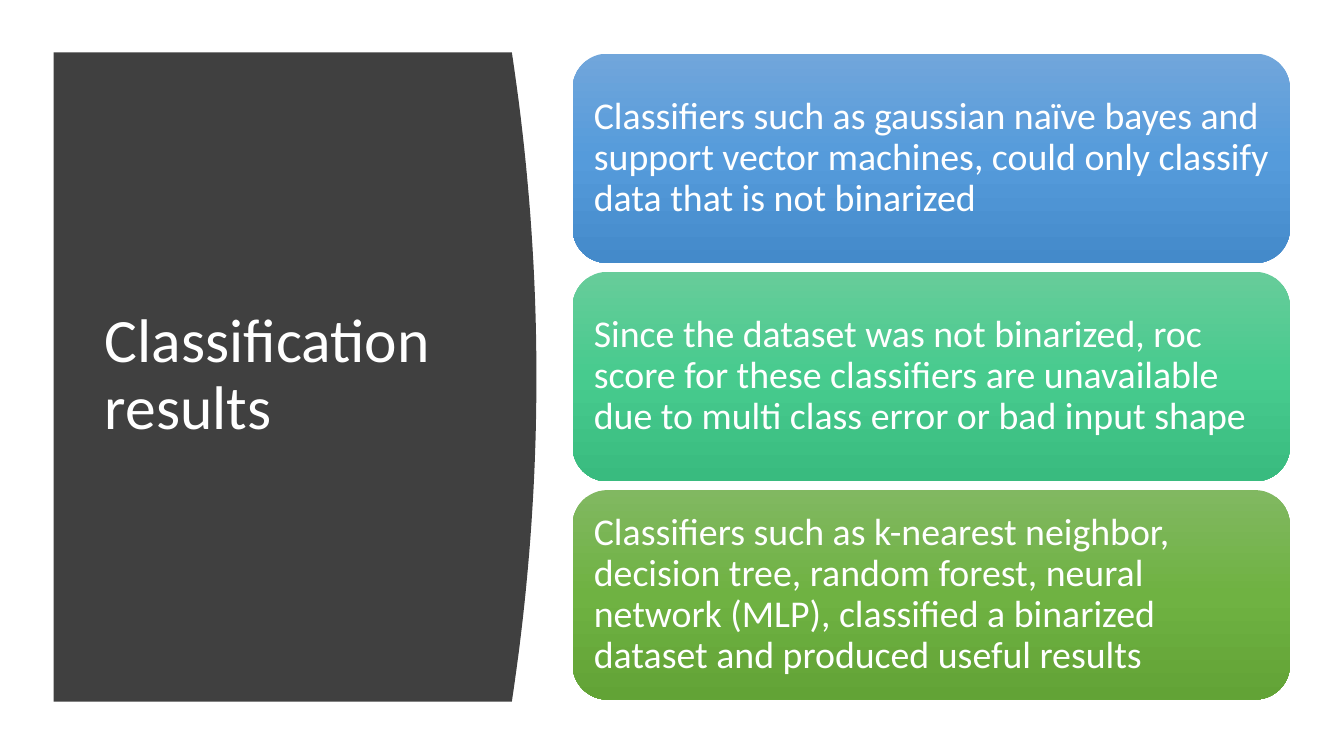
import copy
from dataclasses import dataclass

import pptx
import pptx.dml.color
import pptx.enum.shapes
import pptx.enum.text
import pptx.oxml.ns
import pptx.util

Cm = pptx.util.Cm
RGB = pptx.dml.color.RGBColor.from_string


@dataclass
class Theme:
    font: str = "Calibri"
    text: str = "FFFFFF"
    panel: str = "404040"
    blue: tuple = ("71A6DB", "559BDB", "448ACA")
    teal: tuple = ("67CC9A", "47CB8E", "39BB7F")
    green: tuple = ("81B861", "6FB242", "62A336")
    title_size: int = 44
    body_size: int = 27


theme = Theme()


def write(shape, text, *, size, inset):
    tf = shape.text_frame
    tf.word_wrap = True
    tf.auto_size = pptx.enum.text.MSO_AUTO_SIZE.NONE
    tf.vertical_anchor = pptx.enum.text.MSO_ANCHOR.MIDDLE
    tf.margin_left = tf.margin_right = Cm(inset)
    tf.margin_top = tf.margin_bottom = Cm(inset / 2)
    p = tf.paragraphs[0]
    p.alignment = pptx.enum.text.PP_ALIGN.LEFT
    p.line_spacing = 0.9
    r = p.add_run()
    r.text = text
    r.font.name = theme.font
    r.font.size = pptx.util.Pt(size)
    r.font.color.rgb = RGB(theme.text)


prs = pptx.Presentation()
prs.slide_width, prs.slide_height = Cm(33.87), Cm(19.05)
s = prs.slides.add_slide(prs.slide_layouts[5])

# Dark panel with a bulging right edge
left, top, edge, bottom, bulge, steps = 1.35, 1.32, 12.9, 17.68, 0.62, 40
curve = []
for i in range(steps + 1):
    u = 2 * i / steps - 1
    curve.append((edge + bulge * (1 - u * u), top + (bottom - top) * i / steps))
fb = s.shapes.build_freeform(Cm(left), Cm(top))
fb.add_line_segments([(Cm(x), Cm(y)) for x, y in curve + [(left, bottom)]])
panel = fb.convert_to_shape()
panel.shadow.inherit = False
panel.fill.solid()
panel.fill.fore_color.rgb = RGB(theme.panel)
panel.line.fill.background()

# Title, in front of the panel
title = s.shapes.title
title.left, title.top, title.width, title.height = Cm(2.39), Cm(2.82), Cm(9.5), Cm(13.31)
title.element.addprevious(panel.element)
write(title, "Classification results", size=theme.title_size, inset=0.25)

# Stack of findings
findings = [
    (theme.blue, "Classifiers such as gaussian naïve bayes and support vector machines, "
                 "could only classify data that is not binarized"),
    (theme.teal, "Since the dataset was not binarized, roc score for these classifiers are "
                 "unavailable due to multi class error or bad input shape"),
    (theme.green, "Classifiers such as k-nearest neighbor, decision tree, random forest, neural "
                  "network (MLP), classified a binarized dataset and produced useful results"),
]
for i, (colors, text) in enumerate(findings):
    sp = s.shapes.add_shape(pptx.enum.shapes.MSO_SHAPE.ROUNDED_RECTANGLE,
                            Cm(14.43), Cm(1.35 + 5.5 * i), Cm(18.08), Cm(5.28))
    sp.shadow.inherit = False
    sp.line.fill.background()
    sp.fill.gradient()
    sp.fill.gradient_angle = 270
    # The default gradient has two stops; add a middle one
    stops = sp.element.spPr.find(".//" + pptx.oxml.ns.qn("a:gsLst"))
    stops.insert(1, copy.deepcopy(stops[0]))
    for stop, color, position in zip(sp.fill.gradient_stops, colors, (0, 0.5, 1)):
        stop.position = position
        stop.color.rgb = RGB(color)
    write(sp, text, size=theme.body_size, inset=0.28)

prs.save("out.pptx")
